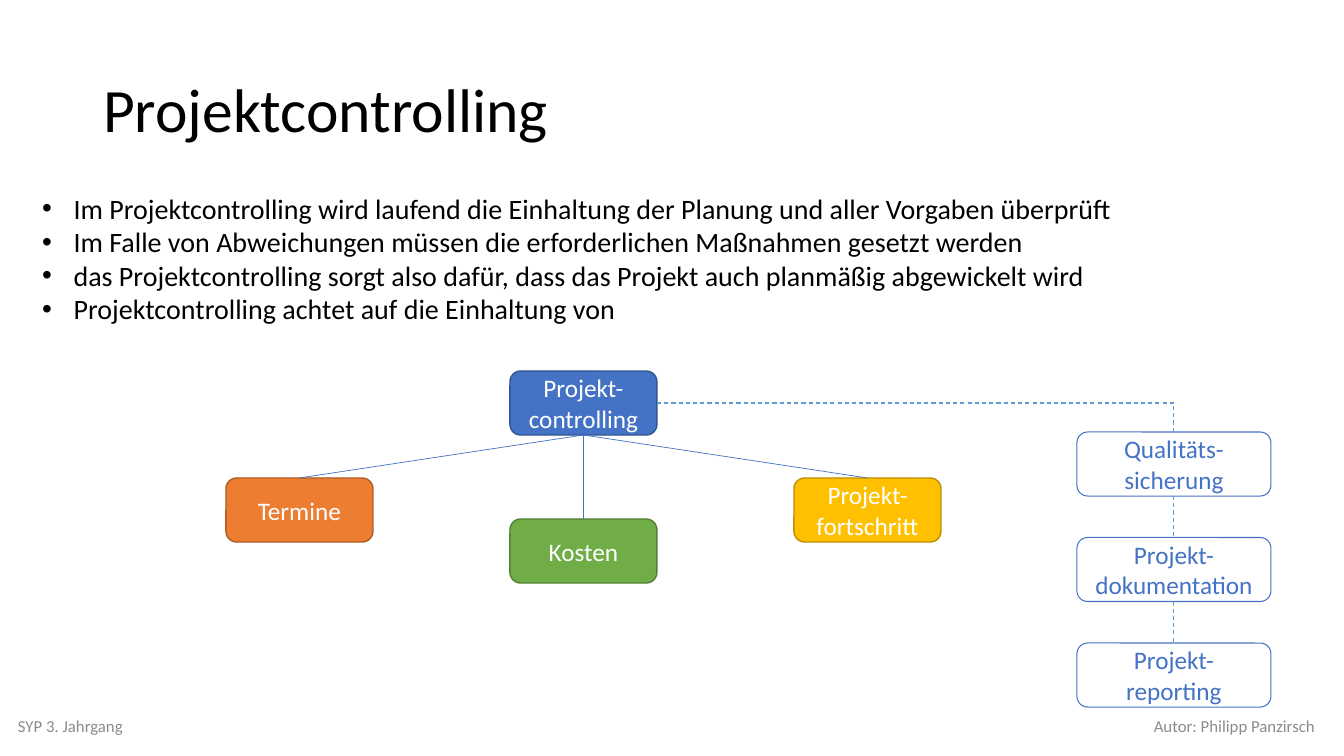
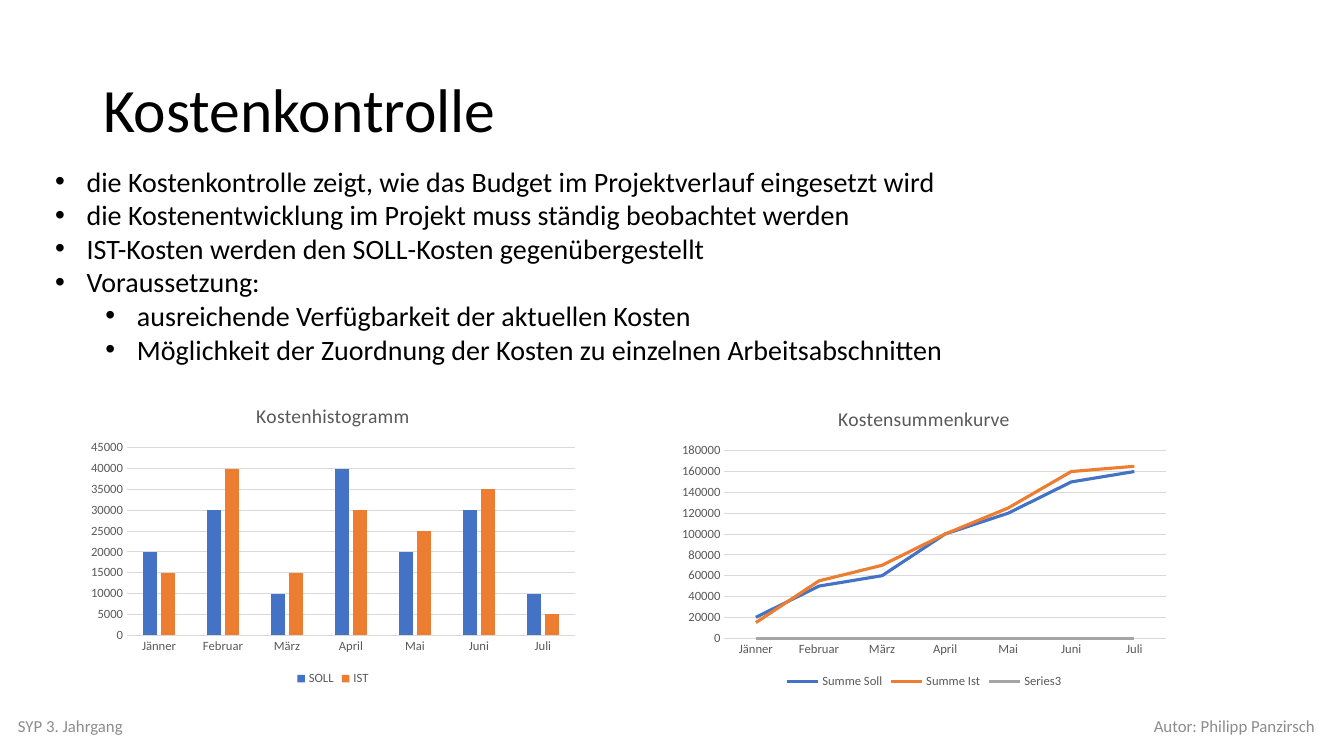
import pptx
import pptx.util
import pptx.dml.color
import pptx.chart.data
import pptx.enum.chart
import pptx.enum.dml
import pptx.enum.shapes
import pptx.enum.text
import pptx.oxml.ns
from lxml import etree

SCALE = 914400 / 100.8
FONT = "Calibri"
COLORS = {
    "text": "000000", "muted": "8C8C8C", "white": "FFFFFF", "chart_text": "595959", "grid": "D9D9D9",
    "blue": "4472C4", "blue_edge": "325491", "orange": "ED7D31", "orange_edge": "AF5C24",
    "green": "70AD47", "green_edge": "538035", "yellow": "FFC000", "yellow_edge": "BD8E00",
    "gray": "A5A5A5", "light_blue": "5B9BD5",
}
ALIGN = pptx.enum.text.PP_ALIGN
MIDDLE = pptx.enum.text.MSO_ANCHOR.MIDDLE
CONNECTOR = pptx.enum.shapes.MSO_CONNECTOR
CHART = pptx.enum.chart.XL_CHART_TYPE
TOP, BOTTOM, RIGHT = 0, 2, 3
MONTHS = ["Jänner", "Februar", "März", "April", "Mai", "Juni", "Juli"]


def px(value):
    return round(value * SCALE)


def rgb(name):
    return pptx.dml.color.RGBColor.from_string(COLORS[name])


def place(shape, left, top, width, height):
    shape.left, shape.top, shape.width, shape.height = px(left), px(top), px(width), px(height)


def style_font(font, size, color):
    font.name = FONT
    font.size = pptx.util.Pt(size)
    font.bold = False
    font.color.rgb = rgb(color)


def style_line(line, color, width):
    line.color.rgb = rgb(color)
    line.width = pptx.util.Pt(width)


def style_text(frame, size, color, align=ALIGN.LEFT):
    frame.word_wrap = True
    for para in frame.paragraphs:
        para.alignment = align
        for span in para.runs:
            style_font(span.font, size, color)


def add_footer(page, left, text, align):
    box = page.shapes.add_textbox(px(left), px(706), px(454), px(40))
    box.text_frame.text = text
    box.text_frame.vertical_anchor = MIDDLE
    style_text(box.text_frame, 12, "muted", align)


def add_page(deck, title_text):
    page = deck.slides.add_slide(deck.slide_layouts[1])
    title = page.shapes.title
    place(title, 93, 40, 1159, 146)
    frame = title.text_frame
    frame.text = title_text
    frame.vertical_anchor = MIDDLE
    frame.auto_size = pptx.enum.text.MSO_AUTO_SIZE.NONE
    frame.paragraphs[0].line_spacing = 0.9
    style_text(frame, 44, "text")
    add_footer(page, 8, "SYP 3. Jahrgang", ALIGN.LEFT)
    add_footer(page, 871, "Autor: Philipp Panzirsch", ALIGN.RIGHT)
    return page


def set_bullet(para):
    props = para._p.get_or_add_pPr()
    props.set("marL", str(px(31.5 + 50.4 * para.level)))
    props.set("indent", str(px(-31.5)))
    for tag, key, value in (("a:buFont", "typeface", "Arial"), ("a:buChar", "char", "•")):
        etree.SubElement(props, pptx.oxml.ns.qn(tag)).set(key, value)


def add_list(page, left, top, height, items):
    body = page.placeholders[1]
    place(body, left, top, 1279, height)
    frame = body.text_frame
    frame.text = "\n".join(text for text, level in items)
    frame.vertical_anchor = pptx.enum.text.MSO_ANCHOR.TOP
    frame.auto_size = pptx.enum.text.MSO_AUTO_SIZE.SHAPE_TO_FIT_TEXT
    for para, (text, level) in zip(frame.paragraphs, items):
        para.level = level
        para.space_before = pptx.util.Pt(0)
        para.line_spacing = 1.0
        set_bullet(para)
    style_text(frame, 20, "text")


def add_box(page, left, top, width, text, edge, line_width, fill=None):
    box = page.shapes.add_shape(
        pptx.enum.shapes.MSO_SHAPE.ROUNDED_RECTANGLE, px(left), px(top), px(width), px(64))
    box.shadow.inherit = False
    if fill:
        box.fill.solid()
        box.fill.fore_color.rgb = rgb(fill)
    else:
        box.fill.background()
    style_line(box.line, edge, line_width)
    box.text_frame.text = text
    box.text_frame.vertical_anchor = MIDDLE
    style_text(box.text_frame, 18, "white" if fill else "blue", ALIGN.CENTER)
    return box


def link(page, start, start_site, end, color, width, dashed=False, bent=False):
    kind = CONNECTOR.ELBOW if bent else CONNECTOR.STRAIGHT
    line = page.shapes.add_connector(kind, 0, 0, 0, 0)
    line.begin_connect(start, start_site)
    line.end_connect(end, TOP)
    style_line(line.line, color, width)
    if dashed:
        line.line.dash_style = pptx.enum.dml.MSO_LINE.DASH
    props = line._element.spPr
    if bent:
        props.find(pptx.oxml.ns.qn("a:prstGeom")).set("prst", "bentConnector2")
    etree.SubElement(props, pptx.oxml.ns.qn("a:effectLst"))


def style_axis(axis):
    axis.major_tick_mark = pptx.enum.chart.XL_TICK_MARK.NONE
    axis.minor_tick_mark = pptx.enum.chart.XL_TICK_MARK.NONE
    style_font(axis.tick_labels.font, 9, "chart_text")


def add_cost_chart(page, kind, left, top, title, series):
    data = pptx.chart.data.CategoryChartData()
    data.categories = MONTHS
    for name, color, values in series:
        data.add_series(name, values)
    chart = page.shapes.add_chart(kind, px(left), px(top), px(504), px(303), data).chart
    style_font(chart.font, 10, "text")
    chart.has_title = True
    chart.chart_title.include_in_layout = False
    chart.chart_title.text_frame.text = title
    style_font(chart.chart_title.text_frame.paragraphs[0].runs[0].font, 14, "chart_text")
    chart.has_legend = True
    chart.legend.position = pptx.enum.chart.XL_LEGEND_POSITION.BOTTOM
    chart.legend.include_in_layout = False
    style_font(chart.legend.font, 9, "chart_text")
    style_axis(chart.category_axis)
    style_line(chart.category_axis.format.line, "grid", 0.75)
    style_axis(chart.value_axis)
    chart.value_axis.format.line.fill.background()
    chart.value_axis.has_major_gridlines = True
    style_line(chart.value_axis.major_gridlines.format.line, "grid", 0.75)
    plot = chart.plots[0]
    plot.vary_by_categories = False
    if kind == CHART.COLUMN_CLUSTERED:
        plot.gap_width = 219
        plot.overlap = -27
    for item, (name, color, values) in zip(plot.series, series):
        if kind == CHART.LINE:
            item.smooth = False
            style_line(item.format.line, color, 2.25)
        else:
            item.format.fill.solid()
            item.format.fill.fore_color.rgb = rgb(color)


def build_controlling(deck):
    page = add_page(deck, "Projektcontrolling")
    add_list(page, 32, 186, 146, [
        ("Im Projektcontrolling wird laufend die Einhaltung der Planung und aller Vorgaben überprüft", 0),
        ("Im Falle von Abweichungen müssen die erforderlichen Maßnahmen gesetzt werden", 0),
        ("das Projektcontrolling sorgt also dafür, dass das Projekt auch planmäßig abgewickelt wird", 0),
        ("Projektcontrolling achtet auf die Einhaltung von", 0),
    ])
    root = add_box(page, 510, 371, 147, "Projekt-controlling", "blue_edge", 1, "blue")
    goals = [("Termine", "orange", 478), ("Kosten", "green", 519), ("Projekt-fortschritt", "yellow", 478)]
    for column, (text, color, top) in enumerate(goals):
        goal = add_box(page, 226 + 284 * column, top, 147, text, color + "_edge", 1, color)
        link(page, root, BOTTOM, goal, "blue", 0.5)
    previous, site = root, RIGHT
    for row, text in enumerate(["Qualitäts-sicherung", "Projekt-dokumentation", "Projekt-reporting"]):
        task = add_box(page, 1077, 432 + 105.5 * row, 194, text, "blue", 0.75)
        link(page, previous, site, task, "light_blue", 0.75, dashed=True, bent=row == 0)
        previous, site = task, BOTTOM


def build_costs(deck):
    page = add_page(deck, "Kostenkontrolle")
    add_list(page, 45, 159, 214, [
        ("die Kostenkontrolle zeigt, wie das Budget im Projektverlauf eingesetzt wird", 0),
        ("die Kostenentwicklung im Projekt muss ständig beobachtet werden", 0),
        ("IST-Kosten werden den SOLL-Kosten gegenübergestellt", 0),
        ("Voraussetzung:", 0),
        ("ausreichende Verfügbarkeit der aktuellen Kosten", 1),
        ("Möglichkeit der Zuordnung der Kosten zu einzelnen Arbeitsabschnitten", 1),
    ])
    add_cost_chart(page, CHART.COLUMN_CLUSTERED, 81, 387, "Kostenhistogramm", [
        ("SOLL", "blue", [20000, 30000, 10000, 40000, 20000, 30000, 10000]),
        ("IST", "orange", [15000, 40000, 15000, 30000, 25000, 35000, 5000]),
    ])
    add_cost_chart(page, CHART.LINE, 672, 390, "Kostensummenkurve", [
        ("Summe Soll", "blue", [20000, 50000, 60000, 100000, 120000, 150000, 160000]),
        ("Summe Ist", "orange", [15000, 55000, 70000, 100000, 125000, 160000, 165000]),
        ("Series3", "gray", [0] * len(MONTHS)),
    ])


def main():
    deck = pptx.Presentation()
    deck.slide_width, deck.slide_height = px(1344), px(756)
    build_controlling(deck)
    build_costs(deck)
    deck.save("out.pptx")


main()
